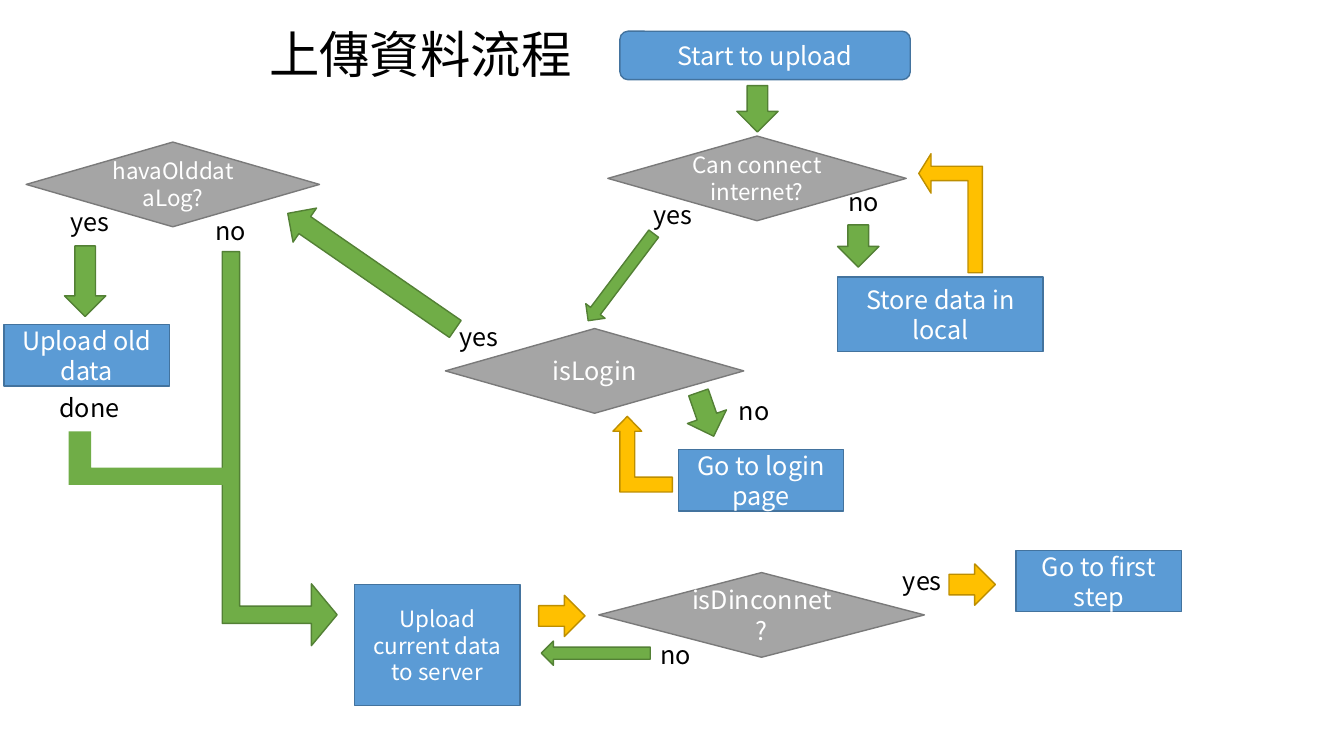
from lxml import etree
from pptx import Presentation
from pptx.dml.color import RGBColor
from pptx.enum import shapes, text
from pptx.oxml import ns
from pptx.util import Pt

FONT = "Noto Sans CJK SC"
COLORS = {
    "blue": "5B9BD5", "blue_line": "43739E",
    "gray": "A5A5A5", "gray_line": "7A7A7A",
    "green": "70AD47", "green_line": "538035",
    "amber": "FFC000", "amber_line": "BD8E00",
    "white": "FFFFFF", "black": "000000",
}
KIND = shapes.MSO_SHAPE


def add_block(kind, box, color, rotation=0, adjustments=()):
    sp = s.shapes.add_shape(kind, *map(Pt, box))
    sp.shadow.inherit = False
    sp.rotation = rotation
    sp.fill.solid()
    sp.fill.fore_color.rgb = RGBColor.from_string(COLORS[color])
    sp.line.color.rgb = RGBColor.from_string(COLORS[color + "_line"])
    sp.line.width = Pt(1)
    for i, value in enumerate(adjustments):
        sp.adjustments[i] = value
    return sp


def write(sp, words, size, color, align, anchor, wrap=True):
    tf = sp.text_frame
    frame_format = {"word_wrap": wrap, "vertical_anchor": anchor,
                    "auto_size": text.MSO_AUTO_SIZE.NONE}
    for name, value in frame_format.items():
        setattr(tf, name, value)
    p = tf.paragraphs[0]
    p.alignment = align
    r = p.add_run()
    r.text = words
    for name, value in {"name": FONT, "size": Pt(size)}.items():
        setattr(r.font, name, value)
    r.font.color.rgb = RGBColor.from_string(COLORS[color])
    etree.SubElement(r._r.get_or_add_rPr(), ns.qn("a:ea"), typeface=FONT)


prs = Presentation()
prs.slide_width, prs.slide_height = Pt(960), Pt(540)
s = prs.slides.add_slide(prs.slide_layouts[5])

title = s.shapes.title
title_box = {"left": 185, "top": 13, "width": 233.3, "height": 51.1}
for name, value in title_box.items():
    setattr(title, name, Pt(value))
write(title, "上傳資料流程", 36, "black", text.PP_ALIGN.LEFT, text.MSO_ANCHOR.TOP)

steps = [
    ("Start to upload", KIND.ROUNDED_RECTANGLE, (442.8, 22.3, 207.4, 34.6), "blue", 18),
    ("Can connect internet?", KIND.DIAMOND, (434.2, 97.2, 213.1, 60.5), "gray", 16),
    ("Store data in local", KIND.RECTANGLE, (598.3, 198, 146.9, 53.3), "blue", 18),
    ("isLogin", KIND.DIAMOND, (318.2, 234.7, 213.1, 60.5), "gray", 18),
    ("Go to login page", KIND.RECTANGLE, (484.6, 321.1, 118.1, 43.9), "blue", 18),
    ("havaOlddataLog?", KIND.DIAMOND, (18.7, 101.5, 209.5, 60.5), "gray", 16),
    ("Upload old data", KIND.RECTANGLE, (2.9, 231.8, 118.1, 43.9), "blue", 18),
    ("Upload current data to server", KIND.RECTANGLE, (253.4, 417.6, 118.1, 86.4), "blue", 16),
    ("isDinconnet?", KIND.DIAMOND, (427.7, 409, 232.6, 60.5), "gray", 18),
    ("Go to first step", KIND.RECTANGLE, (725.8, 393.1, 118.1, 43.9), "blue", 18),
]
for words, kind, box, color, size in steps:
    write(add_block(kind, box, color), words, size, "white",
          text.PP_ALIGN.CENTER, text.MSO_ANCHOR.MIDDLE)

straight_arrows = [
    ((526.3, 61.2, 29.5, 33.1), "green", 0),
    ((598.3, 160.6, 29.5, 30.2), "green", 0),
    ((434.9, 159.1, 17.3, 77.8), "green", 37),
    ((489.6, 279.4, 29.5, 33.1), "green", 340.8),
    ((250.6, 121, 29.5, 145.4), "green", 124.6),
    ((46.1, 175.7, 29.5, 50.4), "green", 0),
    ((386.6, 423.4, 29.5, 33.1), "amber", 270),
    ((679.7, 401, 29.5, 33.1), "amber", 270),
    ((416.9, 427.7, 17.3, 77.8), "green", 90),
]
for box, color, rotation in straight_arrows:
    add_block(KIND.DOWN_ARROW, box, color, rotation)

add_block(KIND.BENT_UP_ARROW, (636.5, 129.6, 85, 45.4), "amber", 270, (0.225, 0.31, 0.193))
add_block(KIND.BENT_UP_ARROW, (59, 279.4, 281.5, 82.1), "green", 90, (0.151, 0.269, 0.224))
login_return = add_block(KIND.BENT_UP_ARROW, (437.8, 297.4, 42.5, 54), "amber",
                         0, (0.25, 0.242, 0.25))
login_return.element.spPr.find(ns.qn("a:xfrm")).set("flipH", "1")
done_path = add_block(KIND.CORNER, (49, 308.2, 110.2, 38.2), "green", 0, (0.322, 0.423))
done_path.line.fill.background()

label_widths = {"yes": 42.5, "no": 40.3, "done": 57.6}
labels = [
    ("yes", 459.4, 139), ("no", 599, 129.6),
    ("yes", 321.1, 226.1), ("no", 520.6, 278.6),
    ("yes", 43.2, 144), ("no", 146.9, 150.5), ("done", 35.3, 276.5),
    ("yes", 637.9, 400.3), ("no", 464.4, 452.9),
]
for words, left, top in labels:
    label = s.shapes.add_textbox(Pt(left), Pt(top), Pt(label_widths[words]), Pt(28.8))
    write(label, words, 18, "black", text.PP_ALIGN.LEFT, text.MSO_ANCHOR.TOP, False)

prs.save("out.pptx")
